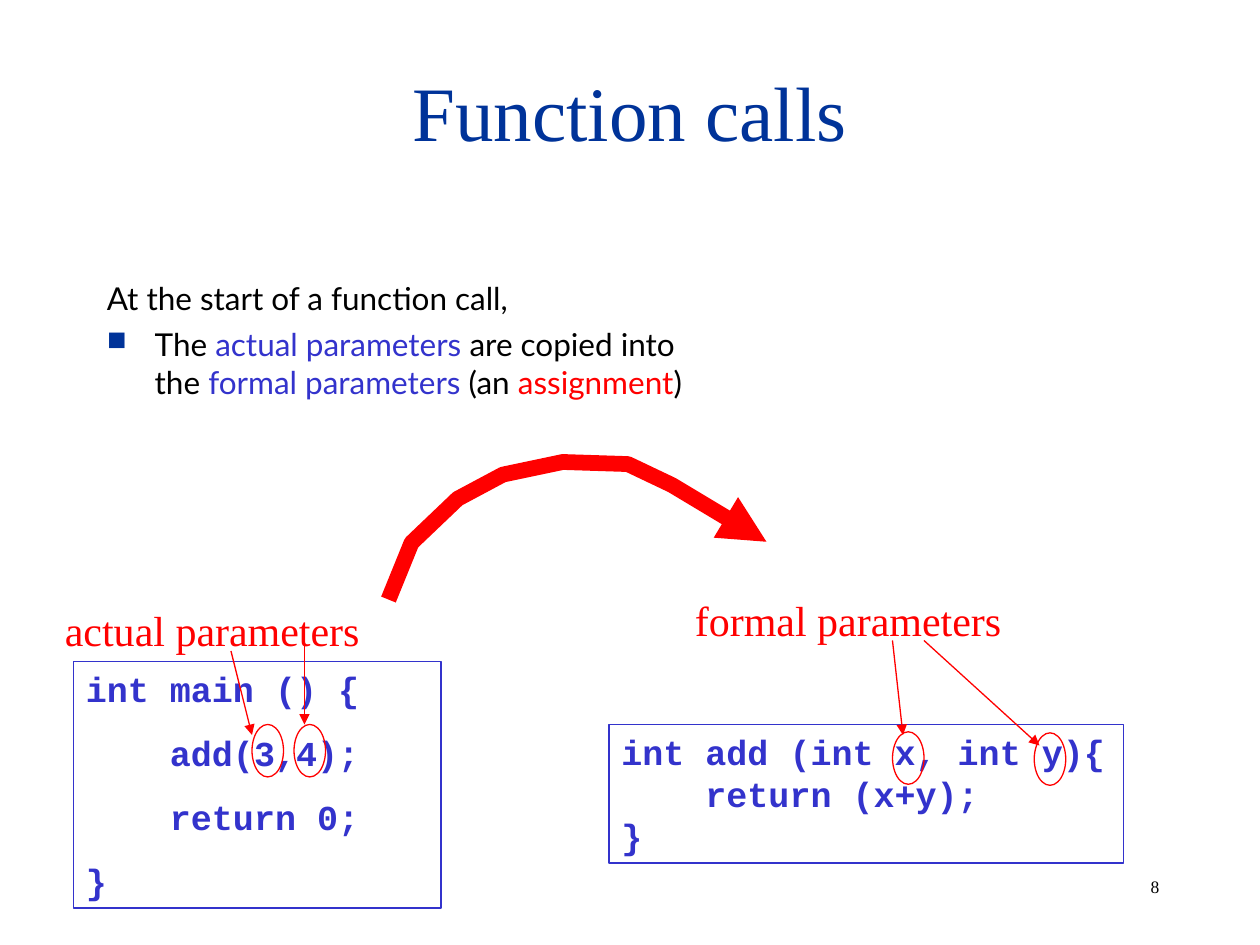
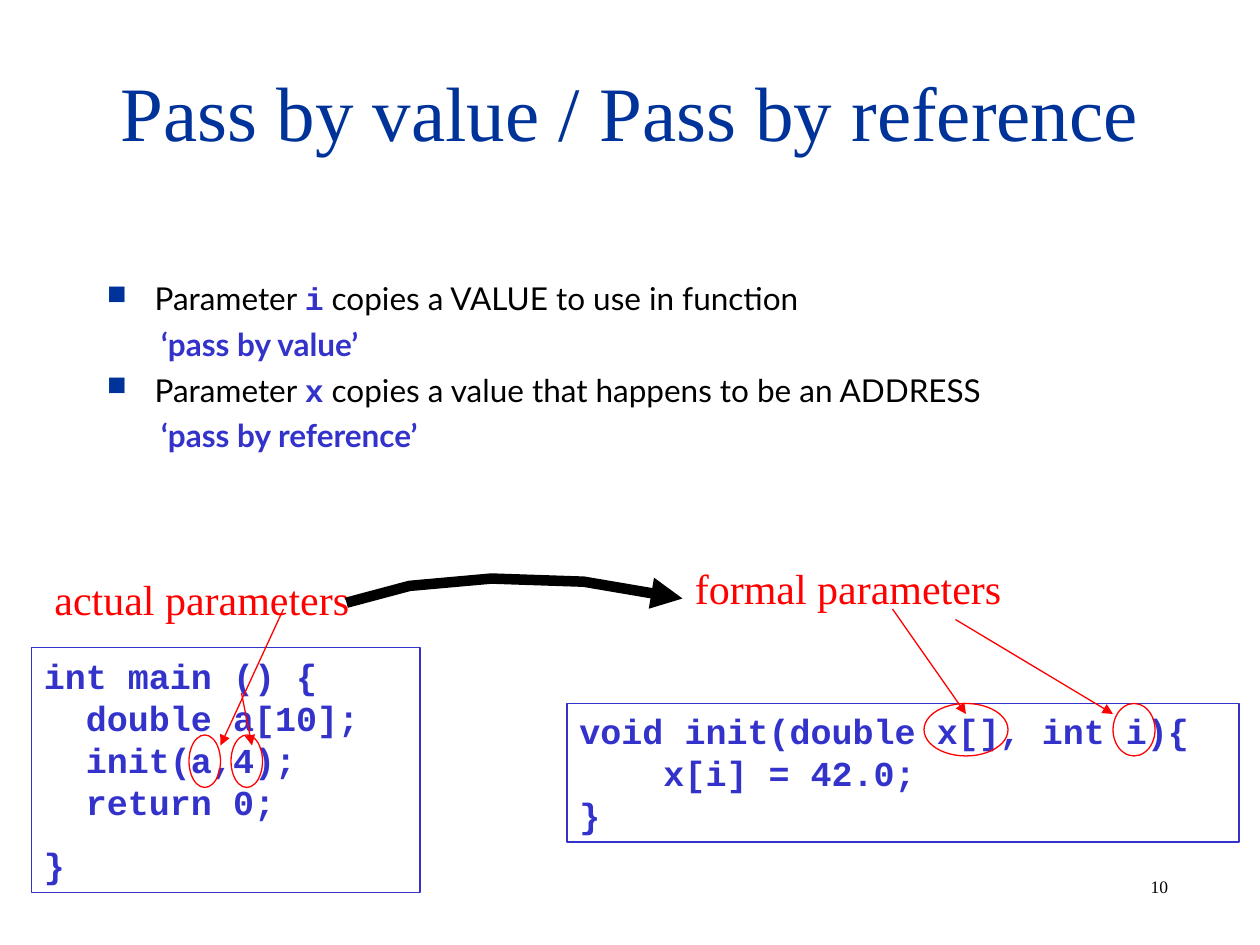
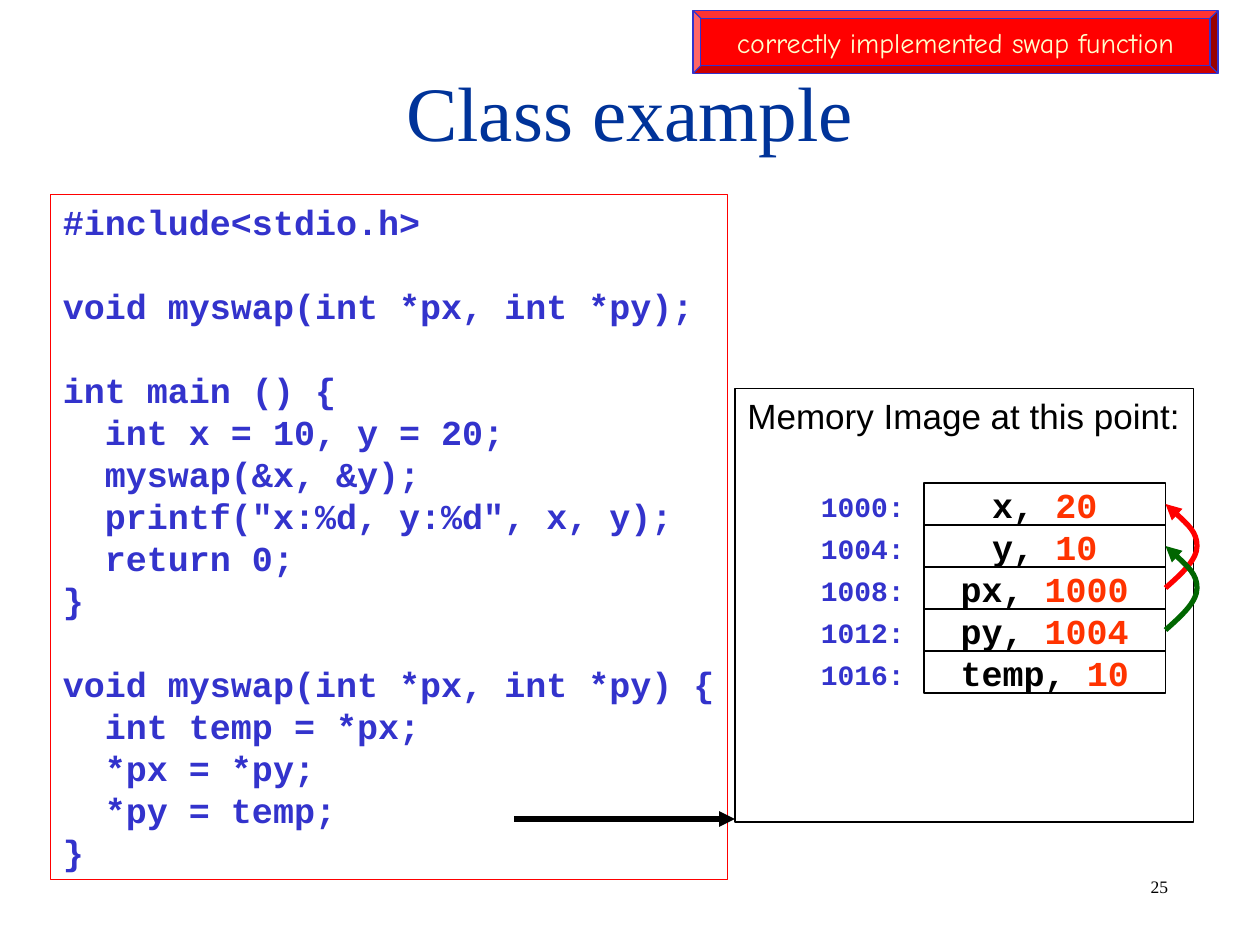
from dataclasses import dataclass, field
from typing import NamedTuple

from lxml.etree import SubElement
from pptx import Presentation
from pptx.dml.color import RGBColor
from pptx.enum.shapes import MSO_CONNECTOR, MSO_SHAPE
from pptx.enum.text import MSO_ANCHOR, MSO_AUTO_SIZE, PP_ALIGN
from pptx.oxml.ns import qn
from pptx.util import Emu, Inches, Pt

# The grid has 120 columns and 90 rows of one twelfth of an inch.
CELL = Inches(1) // 12
COLUMNS, ROWS = 120, 90

NAVY = RGBColor(0x00, 0x33, 0x99)
BLUE = RGBColor(0x33, 0x33, 0xCC)
RED = RGBColor(0xFF, 0x00, 0x00)
ORANGE = RGBColor(0xFF, 0x33, 0x00)
GREEN = RGBColor(0x00, 0x66, 0x00)
CREAM = RGBColor(0xFF, 0xFF, 0xCC)
BLACK = RGBColor(0x00, 0x00, 0x00)

SERIF, BODY, MONO = "Times New Roman", "Lato", "Courier New"
THIN = 0.75


class Area(NamedTuple):
    column: float
    row: float
    columns: float
    rows: float


class Point(NamedTuple):
    column: float
    row: float


class Style(NamedTuple):
    font: str
    size: float
    color: RGBColor
    bold: bool = False


class Span(NamedTuple):
    text: str
    style: Style


@dataclass
class Para:
    spans: list[Span]
    format: dict = field(default_factory=dict)
    bullet: bool = False
    margin: float = 0
    indent: float = 0


@dataclass
class Code:
    area: Area
    blocks: list[str]
    color: RGBColor = BLUE
    gap: float = 12.5
    wrap: bool = True


@dataclass
class Label:
    text: str
    area: Area


@dataclass
class Arrow:
    start: Point
    end: Point
    color: RGBColor = RED
    width: float = THIN


TITLE = Style(SERIF, 44, NAVY)
NUMBER = Style(SERIF, 10, BLACK)
LABEL = Style(SERIF, 24, RED)
PLAIN = Style(BODY, 18, BLACK)
TERM = Style(BODY, 18, BLUE)
STRONG = Style(BODY, 18, BLUE, True)
VARIABLE = Style(MONO, 18, BLUE, True)
CODE = Style(MONO, 20, BLUE, True)
ADDRESS = Style(MONO, 16, BLUE, True)
CELL_NAME = Style(MONO, 20, BLACK, True)
CELL_VALUE = Style(MONO, 20, ORANGE, True)
CENTRED = {"alignment": PP_ALIGN.CENTER}


def emu(cells: float) -> Emu:
    return Emu(round(cells * CELL))


def place(area: Area) -> list[Emu]:
    return [emu(value) for value in area]


def set_all(target, values: dict) -> None:
    for name, value in values.items():
        setattr(target, name, value)


def add_bullet(para) -> None:
    props = para._p.get_or_add_pPr()
    color = SubElement(props, qn("a:buClr"))
    SubElement(color, qn("a:srgbClr"), val=str(NAVY))
    SubElement(props, qn("a:buSzPct"), val="85000")
    SubElement(props, qn("a:buChar"), char="■")


def write(box, paras: list[Para], anchor=MSO_ANCHOR.TOP, wrap: bool = True) -> None:
    frame = box.text_frame
    set_all(frame, {"word_wrap": wrap, "vertical_anchor": anchor})
    for index, item in enumerate(paras):
        para = frame.paragraphs[0] if index == 0 else frame.add_paragraph()
        props = para._p.get_or_add_pPr()
        props.set("marL", str(Inches(item.margin)))
        props.set("indent", str(Inches(item.indent)))
        if item.bullet:
            add_bullet(para)
        set_all(para, {"alignment": PP_ALIGN.LEFT} | item.format)
        for text, style in item.spans:
            for line_index, line in enumerate(text.split("\n")):
                if line_index:
                    para.add_line_break()
                span = para.add_run()
                span.text = line
                set_all(span.font, {"name": style.font, "size": Pt(style.size),
                                    "bold": style.bold})
                span.font.color.rgb = style.color


def add_text(page, area: Area, paras: list[Para], **options):
    box = page.shapes.add_textbox(*place(area))
    write(box, paras, **options)
    return box


def set_line(shape, color: RGBColor, width: float, arrow: bool = False) -> None:
    shape.line.color.rgb = color
    shape.line.width = Pt(width)
    if arrow:
        SubElement(shape.line._get_or_add_ln(), qn("a:tailEnd"), type="triangle")


def add_outline(page, kind, area: Area, color: RGBColor):
    shape = page.shapes.add_shape(kind, *place(area))
    shape.shadow.inherit = False
    shape.fill.background()
    set_line(shape, color, THIN)
    return shape


def add_code(page, code: Code) -> None:
    box = add_outline(page, MSO_SHAPE.RECTANGLE, code.area, code.color)
    paras = [Para([Span(block, CODE)], {"space_before": Pt(code.gap if index else 0)})
             for index, block in enumerate(code.blocks)]
    write(box, paras, wrap=code.wrap)
    if not code.wrap:
        box.text_frame.auto_size = MSO_AUTO_SIZE.SHAPE_TO_FIT_TEXT


def add_arrow(page, arrow: Arrow) -> None:
    line = page.shapes.add_connector(
        MSO_CONNECTOR.STRAIGHT, *place(arrow.start), *place(arrow.end))
    set_line(line, arrow.color, arrow.width, arrow=True)
    SubElement(line._element.spPr, qn("a:effectLst"))


def add_path(page, points: list[Point], color: RGBColor, width: float):
    """Draw an open line through the points, with an arrowhead at its end."""
    first, *others = [tuple(place(point)) for point in points]
    builder = page.shapes.build_freeform(*first)
    builder.add_line_segments(others, close=False)
    path = builder.convert_to_shape()
    path.shadow.inherit = False
    path.fill.background()
    set_line(path, color, width, arrow=True)
    return path


def add_pointer(page, start: Point, rise: float, color: RGBColor) -> None:
    """Draw a curve that bulges to the right and ends above its start."""
    bulge = 3
    column, row = start
    path = add_path(page, [start, Point(column + bulge, row - rise / 2),
                           Point(column, row - rise)], color, 3)
    curves = [[(1 / 2, 5 / 6), (1, 2 / 3), (1, 1 / 2)],
              [(1, 1 / 3), (1 / 2, 1 / 6), (0, 0)]]
    for segment, curve in zip(list(path._element.iter(qn("a:lnTo"))), curves):
        bezier = segment.makeelement(qn("a:cubicBezTo"))
        for x, y in curve:
            SubElement(bezier, qn("a:pt"), x=str(emu(x * bulge)), y=str(emu(y * rise)))
        segment.getparent().replace(segment, bezier)


def add_page(deck, title: str, number: int):
    page = deck.slides.add_slide(deck.slide_layouts[6])
    add_text(page, Area(108.4, 82.8, 9.4, 3.2), [Para([Span(str(number), NUMBER)])])
    add_text(page, Area(9, 3, 102, 15), [Para([Span(title, TITLE)], CENTRED)],
             anchor=MSO_ANCHOR.MIDDLE)
    return page


def bullet(*spans: Span, **format) -> Para:
    return Para(list(spans), format, bullet=True, margin=0.38, indent=-0.38)


def add_call(page, body: list[Para], codes: list[Code], labels: list[Label],
             rings: list[Area], arrows: list[Arrow]) -> None:
    """Draw the explanation, and the caller and the function with marked parameters."""
    add_text(page, Area(9, 26, 102, 55), body)
    for code in codes:
        add_code(page, code)
    for label in labels:
        add_text(page, label.area, [Para([Span(label.text, LABEL)])])
    for ring in rings:
        add_outline(page, MSO_SHAPE.OVAL, ring, RED)
    for arrow in arrows:
        add_arrow(page, arrow)


def add_function_calls(deck) -> None:
    page = add_page(deck, "Function calls", 8)
    add_call(
        page,
        body=[
            Para([Span("At the start of a function call,", PLAIN)]),
            bullet(Span("The ", PLAIN), Span("actual parameters", TERM),
                   Span(" are copied into\nthe ", PLAIN), Span("formal parameters", TERM),
                   Span(" (an ", PLAIN), Span("assignment", PLAIN._replace(color=RED)),
                   Span(")", PLAIN), space_before=Pt(4.5)),
        ],
        codes=[
            Code(Area(58, 69, 49, 13.2),
                 ["int add (int x, int y){\n    return (x+y);\n}"]),
            Code(Area(7, 63, 35, 23.5),
                 ["int main () {", "    add(3,4);", "    return 0;", "}"]),
        ],
        labels=[Label("formal parameters", Area(65, 56, 35, 6)),
                Label("actual parameters", Area(5, 57, 32, 6))],
        rings=[Area(98.5, 69.8, 3, 5), Area(85, 69.7, 3, 5),
               Area(24, 69, 3, 5), Area(28, 69, 3, 5)],
        arrows=[Arrow(Point(85, 61), Point(86, 70)), Arrow(Point(88, 61), Point(99, 71)),
                Arrow(Point(22, 62), Point(24, 70)), Arrow(Point(29, 61), Point(29, 69))],
    )
    copy_route = [Point(37, 57.1), Point(39.2, 51.7), Point(43.6, 47.5), Point(47.9, 45.2),
                  Point(53.6, 44), Point(59.8, 44.2), Point(64, 46.2), Point(73, 51.6)]
    add_path(page, copy_route, RED, 9)


def add_passing(deck) -> None:
    page = add_page(deck, "Pass by value / Pass by reference", 10)
    gap = {"space_before": Pt(4.5)}
    add_call(
        page,
        body=[
            bullet(Span("Parameter ", PLAIN), Span("i", VARIABLE),
                   Span(" copies a VALUE to use in function", PLAIN)),
            Para([Span("‘pass by value’", STRONG)], gap, margin=0.43),
            bullet(Span("Parameter ", PLAIN), Span("x", VARIABLE),
                   Span(" copies a value that happens to be an ADDRESS", PLAIN), **gap),
            Para([Span("‘pass by reference’", STRONG)], gap, margin=0.43),
        ],
        codes=[
            Code(Area(3, 61.7, 37, 23.3),
                 ["int main () {\n  double a[10];\n  init(a,4);\n  return 0;", "}"]),
            Code(Area(54, 67, 64, 13.2),
                 ["void init(double x[], int i){\n    x[i] = 42.0;\n}"]),
        ],
        labels=[Label("formal parameters", Area(65, 53, 35, 6)),
                Label("actual parameters", Area(4, 54, 32, 6))],
        rings=[Area(18, 70, 3, 5), Area(22, 70, 3, 5),
               Area(88, 67, 8, 5), Area(106, 67, 4, 5)],
        arrows=[Arrow(Point(27, 58), Point(21, 71)), Arrow(Point(23, 66), Point(24, 71)),
                Arrow(Point(85, 58), Point(92, 68)), Arrow(Point(91, 59), Point(106, 68))],
    )
    copy_route = [Point(33, 57.4), Point(39, 55.8), Point(46.8, 55.1),
                  Point(55.6, 55.4), Point(65, 57)]
    add_path(page, copy_route, BLACK, 6)


def add_memory(page) -> None:
    image = add_outline(page, MSO_SHAPE.RECTANGLE, Area(70, 37, 43.7, 41.3), BLACK)
    write(image, [Para([Span("Memory Image at this point:", Style("Arial", 20, BLACK))])])
    left, top, width, height = Area(88, 46, 23, 4)
    variables = [("x", 20), ("y", 10), ("px", 1000), ("py", 1004), ("temp", 10)]
    for index, (name, value) in enumerate(variables):
        row = top + index * height
        cell = add_outline(page, MSO_SHAPE.RECTANGLE, Area(left, row, width, height), BLACK)
        write(cell, [Para([Span(f"{name}, ", CELL_NAME), Span(str(value), CELL_VALUE)],
                          CENTRED)], anchor=MSO_ANCHOR.MIDDLE)
        add_text(page, Area(77, row, 10.5, 4.4),
                 [Para([Span(f"{1000 + 4 * index}:", ADDRESS)])])
    for index, color in enumerate([RED, GREEN]):
        middle = top + (index + 2.5) * height
        add_pointer(page, Point(left + width, middle), 2 * height, color)


def add_class_example(deck) -> None:
    page = add_page(deck, "Class example", 25)
    add_code(page, Code(Area(4.8, 18.5, 64.5, 65.3), [
        "#include<stdio.h>",
        "void myswap(int *px, int *py);",
        "int main () {\n  int x = 10, y = 20;\n  myswap(&x, &y);\n"
        '  printf("x:%d, y:%d", x, y);\n  return 0;\n}',
        "void myswap(int *px, int *py) {\n  int temp = *px;\n  *px = *py;\n"
        "  *py = temp;\n}",
    ], color=RED, gap=24, wrap=False))
    add_memory(page)
    add_arrow(page, Arrow(Point(49, 78), Point(70, 78), BLACK, 3))

    banner = add_outline(page, MSO_SHAPE.BEVEL, Area(66, 1, 50, 6), BLUE)
    banner.adjustments[0] = 0.125
    banner.fill.solid()
    banner.fill.fore_color.rgb = RED
    write(banner, [Para([Span("correctly implemented swap function",
                              Style("Comic Neue", 16, CREAM))], CENTRED)],
          anchor=MSO_ANCHOR.MIDDLE)


def main() -> None:
    deck = Presentation()
    set_all(deck, {"slide_width": emu(COLUMNS), "slide_height": emu(ROWS)})
    add_function_calls(deck)
    add_passing(deck)
    add_class_example(deck)
    deck.save("out.pptx")


if __name__ == "__main__":
    main()
